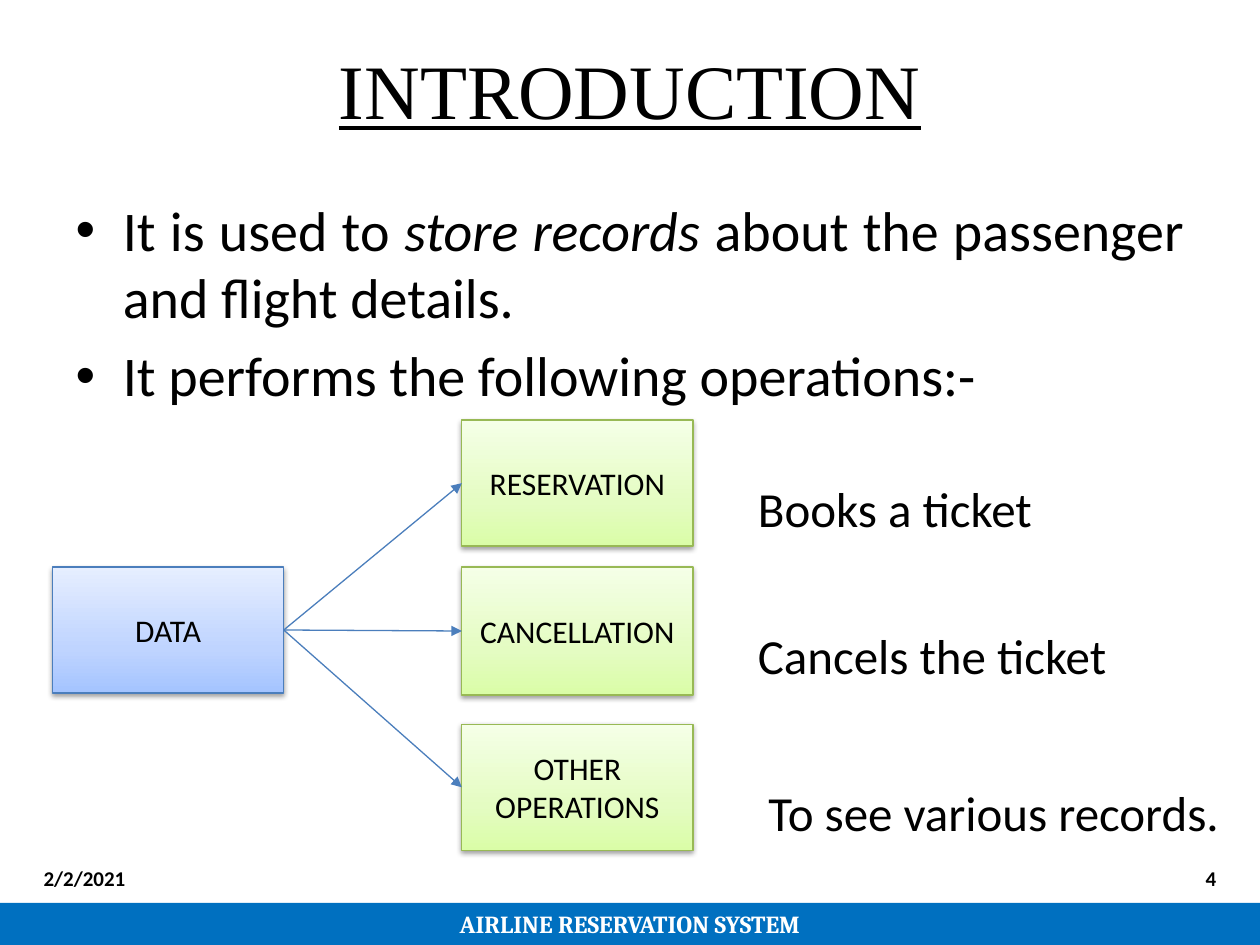
from lxml import etree
from pptx import Presentation
from pptx.dml.color import RGBColor
from pptx.enum.shapes import MSO_CONNECTOR, MSO_SHAPE
from pptx.enum.text import MSO_ANCHOR, MSO_AUTO_SIZE, PP_ALIGN
from pptx.oxml.ns import qn
from pptx.util import Cm, Pt

LEFT, CENTER, RIGHT, JUSTIFY = (
    PP_ALIGN.LEFT, PP_ALIGN.CENTER, PP_ALIGN.RIGHT, PP_ALIGN.JUSTIFY)
TOP, MIDDLE, BOTTOM = MSO_ANCHOR.TOP, MSO_ANCHOR.MIDDLE, MSO_ANCHOR.BOTTOM
RECTANGLE = MSO_SHAPE.RECTANGLE
STRAIGHT = MSO_CONNECTOR.STRAIGHT
FIT_SHAPE = MSO_AUTO_SIZE.SHAPE_TO_FIT_TEXT

# Content: a paragraph is a list of (words, italic) runs
TITLE = "INTRODUCTION"
BULLETS = [
    [("It is used to ", False), ("store records ", True),
     ("about the passenger and flight details.", False)],
    [("It performs the following operations:-", False)],
]
SOURCE = "DATA"
# operation, box top, box height, caption, caption left, caption width (cm)
OPERATIONS = [
    ("RESERVATION", 8.47, 2.54, "Books a ticket", 15.03, 6.1),
    ("CANCELLATION", 11.43, 2.58, "Cancels the ticket", 15.03, 7.85),
    ("OTHER OPERATIONS", 14.6, 2.54, "To see various records.", 15.24, 9.65),
]
DATE, PAGE = "2/2/2021", "4"
FOOTER = "AIRLINE RESERVATION SYSTEM"

THEME = {
    "body_font": "Calibri", "title_font": "Times New Roman", "footer_font": "Cambria",
    "title": 44, "body": 32, "caption": 28, "box": 18, "footer": 14, "small": 12,
    "text": "000000", "footer_text": "FFFFFF", "footer_fill": "0070C0",
    "blue": "4B7EBC", "green": "98B955", "line": 0.75,
    "blue_stops": [(0, "A4C4FF"), (35, "BFD4FF"), (100, "E6EEFF")],
    "green_stops": [(0, "DAFDA7"), (35, "E4FCC2"), (100, "F5FFE7")],
}

# Layout (cm)
SLIDE_W, SLIDE_H = 25.4, 19.05
BOX_W, BOX_H = 4.66, 2.54
SOURCE_X, SOURCE_Y = 1.06, 11.43
OPERATION_X = 9.31
CAPTION_DROP, CAPTION_H = 1.06, 1.45
FOOTER_H = 0.85
SMALL_Y, SMALL_W, SMALL_H, SMALL_MARGIN = 17.2, 5.93, 1.02, 0.63
# Connection sites of a rectangle
LEFT_SITE, RIGHT_SITE = 1, 3

prs = Presentation()
prs.slide_width, prs.slide_height = Cm(SLIDE_W), Cm(SLIDE_H)
slide = prs.slides.add_slide(prs.slide_layouts[1])


def place(shape, x, y, w, h):
    shape.left, shape.top, shape.width, shape.height = Cm(x), Cm(y), Cm(w), Cm(h)


def write(shape, paragraphs, size, font=THEME["body_font"], color=THEME["text"],
          align=LEFT, anchor=TOP, bold=None, underline=None, wrap=True):
    frame = shape.text_frame
    frame.word_wrap, frame.vertical_anchor = wrap, anchor
    if isinstance(paragraphs, str):
        paragraphs = [[(paragraphs, False)]]
    for index, runs in enumerate(paragraphs):
        paragraph = frame.add_paragraph() if index else frame.paragraphs[0]
        paragraph.alignment = align
        for words, italic in runs:
            run = paragraph.add_run()
            run.text = words
            run.font.name, run.font.size = font, Pt(size)
            run.font.color.rgb = RGBColor.from_string(color)
            run.font.bold, run.font.underline = bold, underline
            run.font.italic = italic or None


def add_text(words, x, y, w, h, **style):
    box = slide.shapes.add_textbox(Cm(x), Cm(y), Cm(w), Cm(h))
    write(box, words, **style)
    return box


def add_rectangle(x, y, w, h):
    shape = slide.shapes.add_shape(RECTANGLE, Cm(x), Cm(y), Cm(w), Cm(h))
    shape.shadow.inherit = False
    return shape


def sub(parent, tag, **attributes):
    return etree.SubElement(parent, qn(tag), attributes)


def add_box(words, x, y, h, stops, outline):
    box = add_rectangle(x, y, BOX_W, h)
    box.line.color.rgb = RGBColor.from_string(outline)
    box.line.width = Pt(THEME["line"])
    # Three-stop gradient running upwards
    box.fill.gradient()
    box.fill.gradient_angle = 90
    properties = box._element.spPr
    stop_list = properties.find(qn("a:gradFill")).find(qn("a:gsLst"))
    for stop in list(stop_list):
        stop_list.remove(stop)
    for position, color in stops:
        stop = sub(stop_list, "a:gs", pos=str(position * 1000))
        sub(stop, "a:srgbClr", val=color)
    # Soft shadow below
    shadow = sub(properties.find(qn("a:effectLst")), "a:outerShdw", blurRad=str(Pt(3.1)),
                 dist=str(Pt(1.6)), dir="5400000", rotWithShape="0")
    sub(sub(shadow, "a:srgbClr", val="000000"), "a:alpha", val="38000")
    write(box, words, THEME["box"], align=CENTER, anchor=MIDDLE)
    return box


def add_arrow(start, end):
    arrow = slide.shapes.add_connector(STRAIGHT, 0, 0, 0, 0)
    arrow.begin_connect(start, RIGHT_SITE)
    arrow.end_connect(end, LEFT_SITE)
    arrow.line.color.rgb = RGBColor.from_string(THEME["blue"])
    arrow.line.width = Pt(THEME["line"])
    sub(arrow.line._get_or_add_ln(), "a:tailEnd", type="triangle")
    sub(arrow._element.spPr, "a:effectLst")


# Title and bullets
title, body = slide.shapes.title, slide.placeholders[1]
place(title, 1.27, 0.2, 22.86, 3.18)
write(title, TITLE, THEME["title"], font=THEME["title_font"], align=CENTER,
      anchor=MIDDLE, underline=True)
place(body, 1.27, 3.81, 22.86, 14.17)
write(body, BULLETS, THEME["body"], align=JUSTIFY)

# Data box, its operations and their captions
data_box = add_box(SOURCE, SOURCE_X, SOURCE_Y, BOX_H, THEME["blue_stops"], THEME["blue"])
for operation, top, height, caption, caption_x, caption_w in OPERATIONS:
    operation_box = add_box(operation, OPERATION_X, top, height,
                            THEME["green_stops"], THEME["green"])
    add_arrow(data_box, operation_box)
    caption_box = add_text(caption, caption_x, top + CAPTION_DROP, caption_w, CAPTION_H,
                           size=THEME["caption"], wrap=False)
    caption_box.text_frame.auto_size = FIT_SHAPE

# Date, page number and footer bar
for words, x, align in [(DATE, SMALL_MARGIN, LEFT),
                        (PAGE, SLIDE_W - SMALL_MARGIN - SMALL_W, RIGHT)]:
    add_text(words, x, SMALL_Y, SMALL_W, SMALL_H, size=THEME["small"], align=align,
             anchor=MIDDLE, bold=True)
footer = add_rectangle(0, SLIDE_H - FOOTER_H, SLIDE_W, FOOTER_H)
footer.fill.solid()
footer.fill.fore_color.rgb = RGBColor.from_string(THEME["footer_fill"])
footer.line.fill.background()
write(footer, FOOTER, THEME["footer"], font=THEME["footer_font"],
      color=THEME["footer_text"], align=CENTER, anchor=BOTTOM, bold=True)

prs.save("out.pptx")
